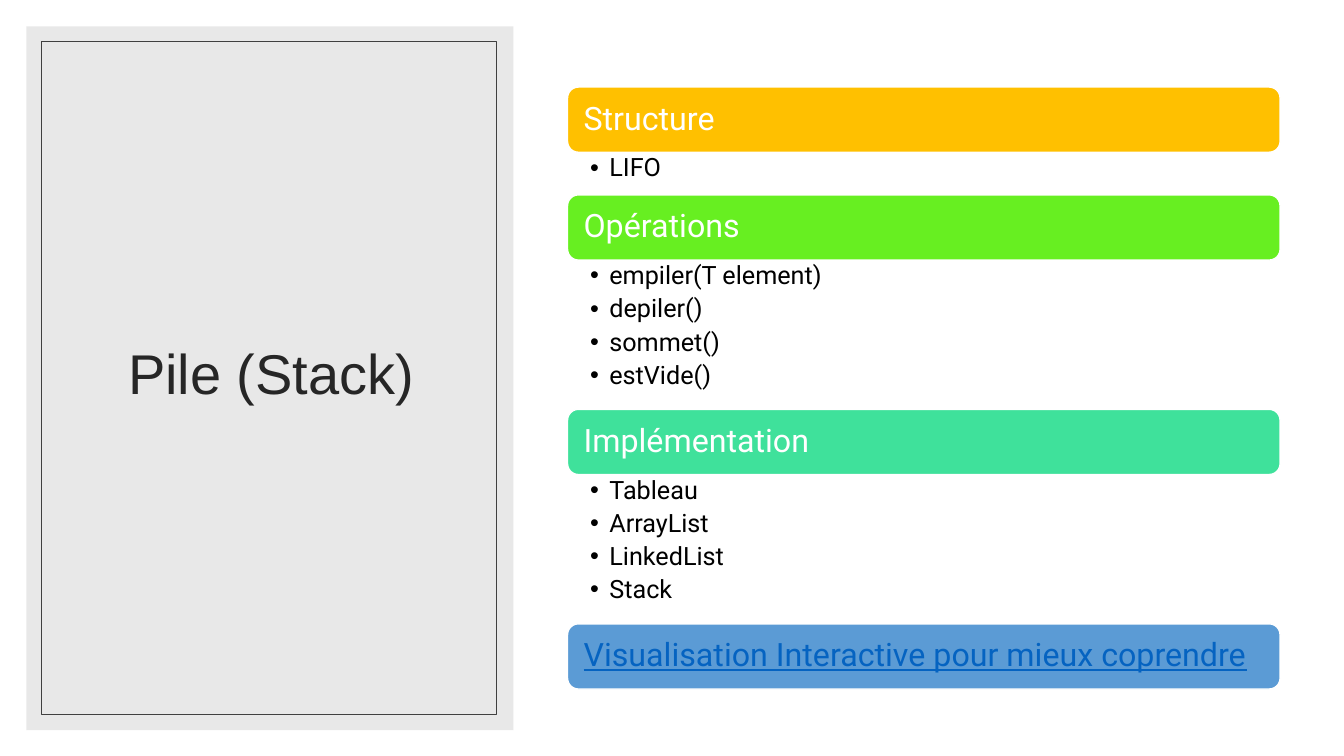
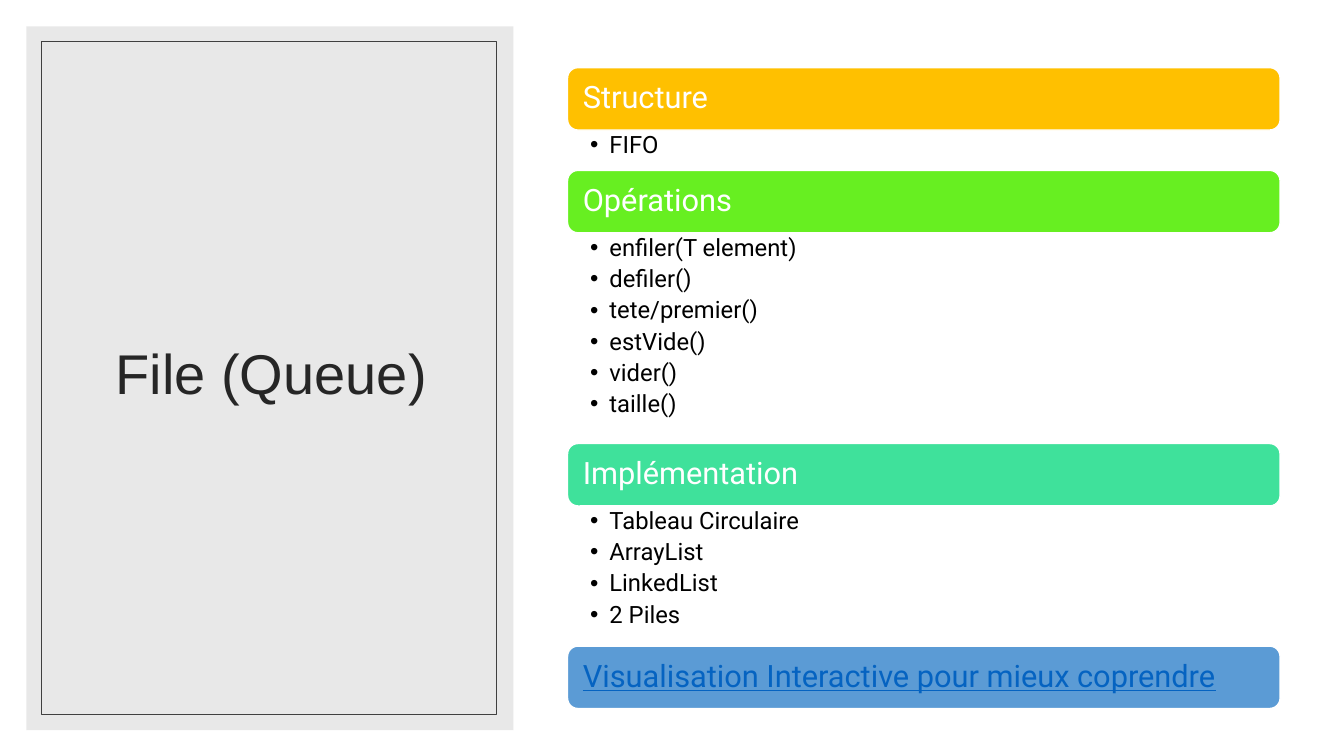
from lxml.etree import SubElement
from pptx import Presentation
from pptx.dml.color import RGBColor
from pptx.enum.shapes import MSO_SHAPE as Preset
from pptx.enum.text import MSO_ANCHOR as Anchor, PP_ALIGN as Align
from pptx.oxml.ns import qn
from pptx.util import Pt

PAGE_WIDTH, PAGE_HEIGHT = 960, 540

# heading, band colour, text format
STRUCTURE = ("Structure", "FFC000", {})
OPERATIONS = ("Opérations", "67EF21", {})
IMPLEMENTATION = ("Implémentation", "3FE19B", {})
VISUALISATION = ("Visualisation Interactive pour mieux coprendre", "5B9BD5",
                 {"color": "0563C1", "underline": True})

# Each section: heading, bullet items, height of the list
PAGES = [
    {"title": "Pile (Stack)", "heading_size": 23, "item_size": 18, "band_height": 46.6,
     "sections": [
         (STRUCTURE, ["LIFO"], 30.4),
         (OPERATIONS, ["empiler(T element)", "depiler()", "sommet()", "estVide()"], 106.6),
         (IMPLEMENTATION, ["Tableau", "ArrayList", "LinkedList", "Stack"], 106.6),
         (VISUALISATION, [], 0),
     ]},
    {"title": "File (Queue)", "heading_size": 22, "item_size": 17, "band_height": 44.6,
     "sections": [
         (STRUCTURE, ["FIFO"], 28.8),
         (OPERATIONS, ["enfiler(T element)", "defiler()", "tete/premier()",
                       "estVide()", "vider()", "taille()"], 150.5),
         (IMPLEMENTATION, ["Tableau Circulaire", "ArrayList", "LinkedList", "2 Piles"], 100.1),
         (VISUALISATION, [], 0),
     ]},
]

PANEL = (18.9, 18.9, 347.8, 502.6)
FRAME = (29.5, 29.5, 324.7, 481)
TITLE = (45.4, 43.9, 296.6, 449.3)
COLUMN_LEFT, COLUMN_WIDTH, COLUMN_MIDDLE = 405.4, 509, 277.2
BULLET_INDENT = 13.7
ITEM_GAP = 0.234  # share of the text size: 20% of a Roboto line

TITLE_FORMAT = {"name": "Arial", "size": 40, "color": "262626"}
HEADING_FORMAT = {"name": "Roboto", "color": "FFFFFF"}
ITEM_FORMAT = {"name": "Roboto", "color": "000000"}


def rgb(value):
    return RGBColor.from_string(value)


def add_box(page, preset, place, fill=None, line=None, line_width=1):
    box = page.shapes.add_shape(preset, *map(Pt, place))
    box.shadow.inherit = False
    if fill:
        box.fill.solid()
        box.fill.fore_color.rgb = rgb(fill)
    else:
        box.fill.background()
    if line:
        box.line.color.rgb = rgb(line)
        box.line.width = Pt(line_width)
    else:
        box.line.fill.background()
    return box


def set_frame(box, insets, anchor):
    """Insets are left, top, right and bottom."""
    frame = box.text_frame
    values = {"word_wrap": True, "vertical_anchor": anchor}
    for side, inset in zip(("left", "top", "right", "bottom"), insets):
        values[f"margin_{side}"] = Pt(inset)
    for name, value in values.items():
        setattr(frame, name, value)
    return frame


def write(para, text, text_format, align=Align.LEFT):
    para.alignment = align
    para.line_spacing = 0.9
    span = para.add_run()
    span.text = text
    for name, value in text_format.items():
        if name == "color":
            span.font.color.rgb = rgb(value)
        else:
            setattr(span.font, name, Pt(value) if name == "size" else value)


def add_bullet(para):
    properties = para._p.get_or_add_pPr()
    properties.set("marL", str(Pt(BULLET_INDENT)))
    properties.set("indent", str(-Pt(BULLET_INDENT)))
    SubElement(properties, qn("a:buFont"), typeface="Arial")
    SubElement(properties, qn("a:buChar"), char="•")


def add_title_panel(page, title):
    panel = add_box(page, Preset.RECTANGLE, PANEL, fill="D9D9D9")
    color = panel.fill._xPr.find(qn("a:solidFill"))[0]
    SubElement(color, qn("a:alpha"), val="60000")
    box = page.shapes.add_textbox(*map(Pt, TITLE))
    frame = set_frame(box, (7.2, 3.6, 7.2, 3.6), Anchor.MIDDLE)
    write(frame.paragraphs[0], title, TITLE_FORMAT, Align.CENTER)
    add_box(page, Preset.RECTANGLE, FRAME, line="404040", line_width=0.5)


def add_band(page, heading, top, height, size):
    text, fill, extra = heading
    band = add_box(page, Preset.ROUNDED_RECTANGLE,
                   (COLUMN_LEFT, top, COLUMN_WIDTH, height), fill=fill, line="FFFFFF")
    inset = size * 0.4
    frame = set_frame(band, (inset,) * 4, Anchor.MIDDLE)
    write(frame.paragraphs[0], text, {**HEADING_FORMAT, "size": size, **extra})


def add_items(page, items, top, height, size):
    box = page.shapes.add_textbox(*map(Pt, (COLUMN_LEFT, top, COLUMN_WIDTH, height)))
    frame = set_frame(box, (16.2, 2.1, 12.6, 2.1), Anchor.TOP)
    for index, item in enumerate(items):
        para = frame.add_paragraph() if index else frame.paragraphs[0]
        write(para, item, {**ITEM_FORMAT, "size": size})
        para.level = 1
        para.space_after = Pt(size * ITEM_GAP)
        add_bullet(para)


def add_sections(page, content):
    """Stack bands and lists, centred on the middle of the column."""
    sections, band_height = content["sections"], content["band_height"]
    total = sum(band_height + list_height for _, _, list_height in sections)
    top = COLUMN_MIDDLE - total / 2
    for heading, items, list_height in sections:
        add_band(page, heading, top, band_height, content["heading_size"])
        top += band_height
        if items:
            add_items(page, items, top, list_height, content["item_size"])
        top += list_height


def main():
    deck = Presentation()
    deck.slide_width, deck.slide_height = Pt(PAGE_WIDTH), Pt(PAGE_HEIGHT)
    for content in PAGES:
        page = deck.slides.add_slide(deck.slide_layouts[6])
        page.background.fill.solid()
        page.background.fill.fore_color.rgb = rgb("FFFFFF")
        add_title_panel(page, content["title"])
        add_sections(page, content)
    deck.save("out.pptx")


if __name__ == "__main__":
    main()
